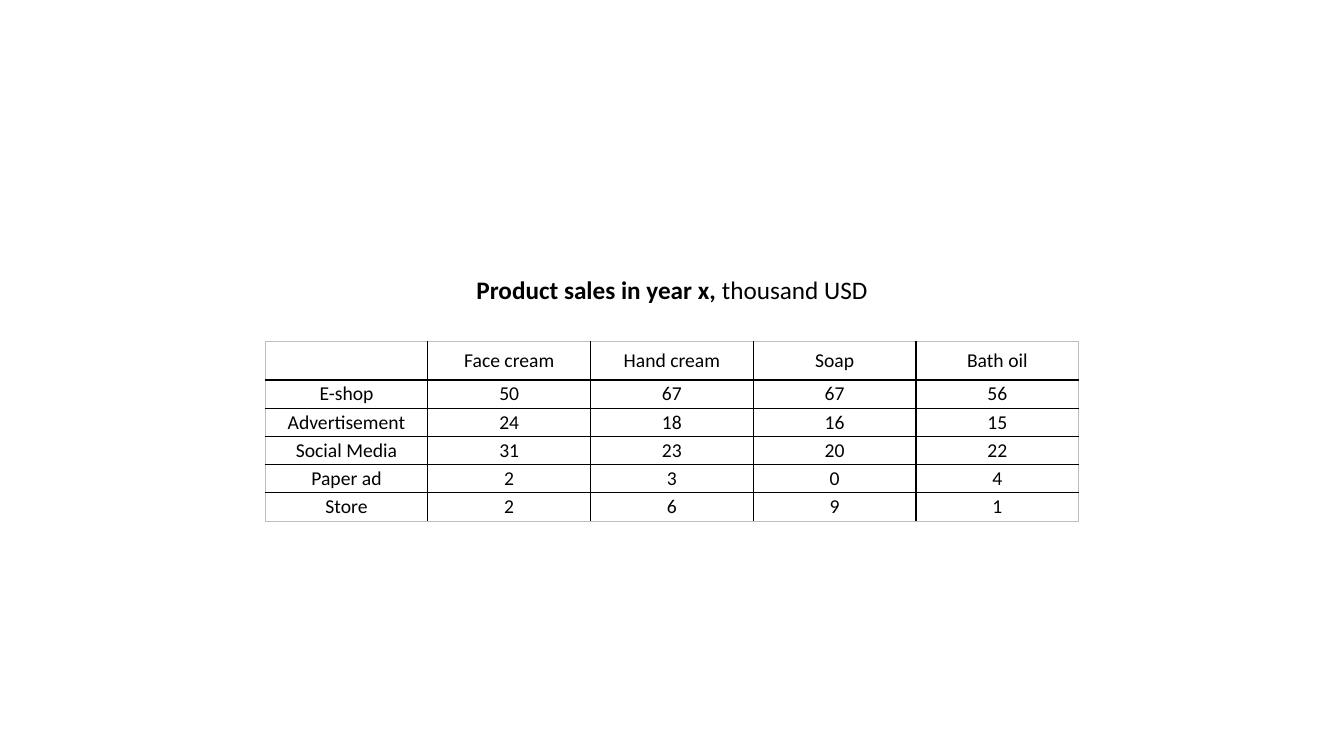
"""Build a slide with a table of product sales by channel."""
import pptx
import pptx.dml.color
import pptx.enum.text
import pptx.oxml
import pptx.oxml.ns
import pptx.util

Inches = pptx.util.Inches
Pt = pptx.util.Pt

TITLE = [("Product sales in year x, ", True), ("thousand USD", False)]
SALES = [
    ("", "Face cream", "Hand cream", "Soap", "Bath oil"),
    ("E-shop", 50, 67, 67, 56),
    ("Advertisement", 24, 18, 16, 15),
    ("Social Media", 31, 23, 20, 22),
    ("Paper ad", 2, 3, 0, 4),
    ("Store", 2, 6, 9, 1),
]

BLACK = pptx.dml.color.RGBColor(0x00, 0x00, 0x00)
WHITE = pptx.dml.color.RGBColor(0xFF, 0xFF, 0xFF)
GRAY = pptx.dml.color.RGBColor(0xBF, 0xBF, 0xBF)
FONT = "Calibri"
LEFT, WIDTH = 2.63, 8.07
TITLE_TOP, TITLE_HEIGHT = 2.67, 0.4
TABLE_TOP, HEADER_HEIGHT, ROW_HEIGHT = 3.39, 0.38, 0.28


def style_paragraph(para, size):
    para.alignment = pptx.enum.text.PP_ALIGN.CENTER
    para.font.name = FONT
    para.font.size = Pt(size)
    para.font.color.rgb = BLACK


def add_border(cell, side, outer):
    color, width = (GRAY, Pt(0.5)) if outer else (BLACK, Pt(1))
    cell._tc.get_or_add_tcPr().append(pptx.oxml.parse_xml(
        f'<a:ln{side} {pptx.oxml.ns.nsdecls("a")} w="{width}">'
        f'<a:solidFill><a:srgbClr val="{color}"/></a:solidFill></a:ln{side}>'))


def add_title(page):
    box = page.shapes.add_textbox(
        Inches(LEFT), Inches(TITLE_TOP), Inches(WIDTH), Inches(TITLE_HEIGHT))
    box.text_frame.word_wrap = True
    para = box.text_frame.paragraphs[0]
    style_paragraph(para, 18)
    for text, bold in TITLE:
        span = para.add_run()
        span.text = text
        span.font.bold = bold


def add_sales_table(page):
    row_count, column_count = len(SALES), len(SALES[0])
    heights = [HEADER_HEIGHT] + [ROW_HEIGHT] * (row_count - 1)
    table = page.shapes.add_table(
        row_count, column_count, Inches(LEFT), Inches(TABLE_TOP),
        Inches(WIDTH), Inches(sum(heights))).table
    table.first_row = False
    table.horz_banding = False
    for row, height in zip(table.rows, heights):
        row.height = Inches(height)
    for row_index, values in enumerate(SALES):
        for column_index, value in enumerate(values):
            cell = table.cell(row_index, column_index)
            cell.margin_left = cell.margin_right = 0
            cell.margin_top = cell.margin_bottom = 0
            cell.vertical_anchor = pptx.enum.text.MSO_ANCHOR.MIDDLE
            add_border(cell, "L", column_index == 0)
            add_border(cell, "R", column_index == column_count - 1)
            add_border(cell, "T", row_index == 0)
            add_border(cell, "B", row_index == row_count - 1)
            cell.fill.solid()
            cell.fill.fore_color.rgb = WHITE
            cell.text = str(value)
            style_paragraph(cell.text_frame.paragraphs[0], 14)


def main():
    deck = pptx.Presentation()
    deck.slide_width = Inches(13.33)
    deck.slide_height = Inches(7.5)
    page = deck.slides.add_slide(deck.slide_layouts[6])
    add_sales_table(page)
    add_title(page)
    deck.save("out.pptx")


if __name__ == "__main__":
    main()
